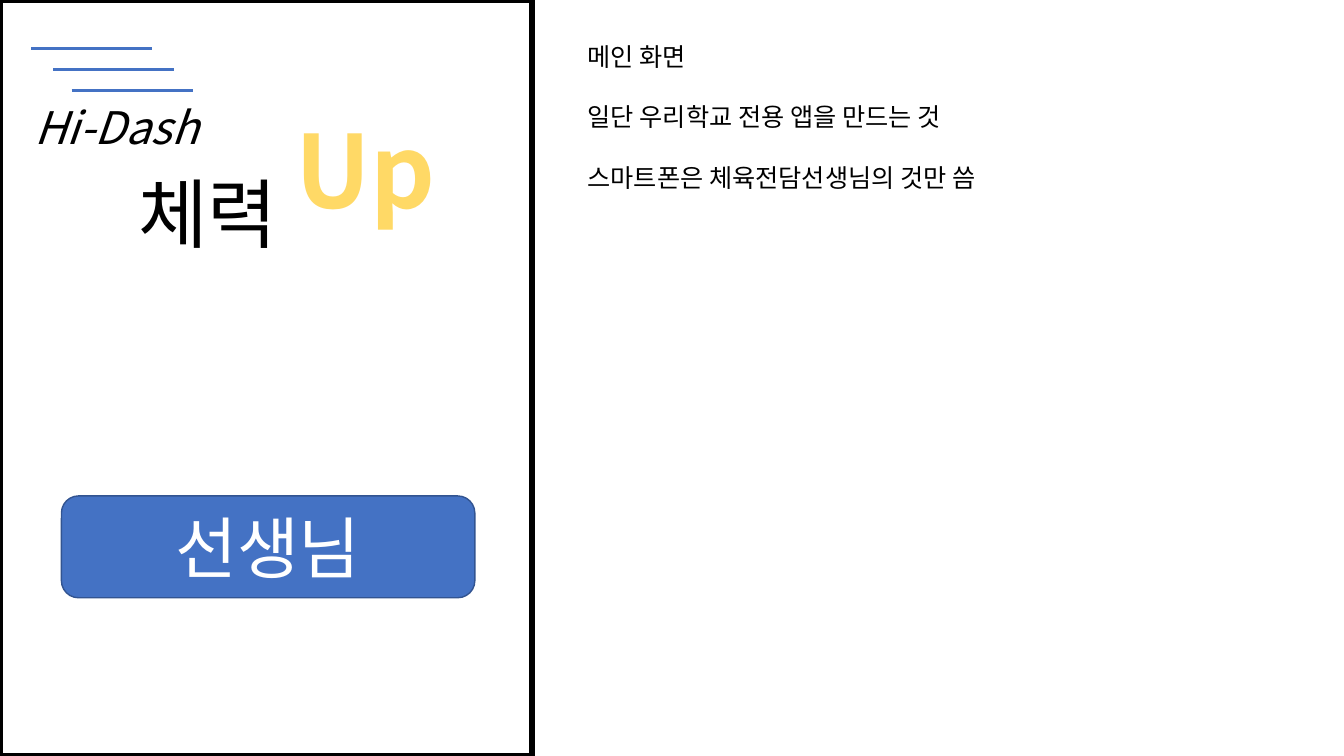
from pptx import Presentation
from pptx.dml.color import RGBColor
from pptx.enum.shapes import MSO_CONNECTOR, MSO_SHAPE
from pptx.enum.text import MSO_ANCHOR, PP_ALIGN
from pptx.oxml.ns import qn
from pptx.util import Inches, Pt
from lxml import etree

# Content
FONT = "Noto Sans CJK KR"
BLUE = "4472C4"
NOTES = ["메인 화면", "일단 우리학교 전용 앱을 만드는 것", "스마트폰은 체육전담선생님의 것만 씀"]
BUTTON = "선생님"
# text, box, size, colour, bold, italic, align, wrap
LOGO = [
    ("체력", (1.2, 1.61, 1.72, 1.01), 54, "000000", False, False, PP_ALIGN.CENTER, False),
    ("Up", (2.82, 1.02, 1.61, 1.31), 72, "FFD966", True, False, PP_ALIGN.CENTER, True),
    ("Hi-Dash", (0.24, 0.94, 1.85, 0.64), 32, "000000", False, True, PP_ALIGN.LEFT, True),
]
STARTS = [0.31, 0.53, 0.71]
TOP, STEP, LENGTH = 0.48, 0.21, 1.2


def color(code):
    return RGBColor.from_string(code)


def place(box):
    return [Inches(v) for v in box]


def write(frame, lines, size, code, align=PP_ALIGN.LEFT, bold=False, italic=False, gap=0):
    frame.text = "\n".join(lines)
    for i, para in enumerate(frame.paragraphs):
        para.alignment = align
        para.line_spacing = Pt(size * 1.2)
        para.space_before = Pt(gap if i else 0)
        for run in para.runs:
            font = run.font
            font.size, font.bold, font.italic = Pt(size), bold, italic
            font.color.rgb = color(code)
            font.name = FONT
            east = etree.SubElement(run._r.get_or_add_rPr(), qn("a:ea"))
            east.set("typeface", FONT)


def panel(kind, box, fill, line, width):
    shape = slide.shapes.add_shape(kind, *place(box))
    shape.shadow.inherit = False
    shape.fill.solid()
    shape.fill.fore_color.rgb = color(fill)
    shape.line.color.rgb = color(line)
    shape.line.width = Pt(width)
    return shape


deck = Presentation()
deck.slide_width, deck.slide_height = Inches(13.33), Inches(7.5)
slide = deck.slides.add_slide(deck.slide_layouts[6])

# Phone screen and button
panel(MSO_SHAPE.RECTANGLE, (0, 0, 5.28, 7.5), "FFFFFF", "000000", 4.5)
button = panel(MSO_SHAPE.ROUNDED_RECTANGLE, (0.61, 4.92, 4.1, 1.01), BLUE, "325491", 1)
button.text_frame.vertical_anchor = MSO_ANCHOR.MIDDLE
write(button.text_frame, [BUTTON], 48, "FFFFFF", PP_ALIGN.CENTER)

# Notes beside the screen
notes = slide.shapes.add_textbox(*place((5.73, 0.36, 6.24, 2.22)))
notes.text_frame.word_wrap = True
write(notes.text_frame, NOTES, 18, "000000", gap=21.6)

# App title with speed lines
group = slide.shapes.add_group_shape()
for text, box, size, code, bold, italic, align, wrap in LOGO:
    label = group.shapes.add_textbox(*place(box))
    label.text_frame.word_wrap = wrap
    write(label.text_frame, [text], size, code, align, bold, italic)
for i, left in enumerate(STARTS):
    y = TOP + i * STEP
    dash = group.shapes.add_connector(
        MSO_CONNECTOR.STRAIGHT, *place((left, y, left + LENGTH, y)))
    dash.line.color.rgb = color(BLUE)
    dash.line.width = Pt(2)
    etree.SubElement(dash._element.spPr, qn("a:effectLst"))

deck.save("out.pptx")
